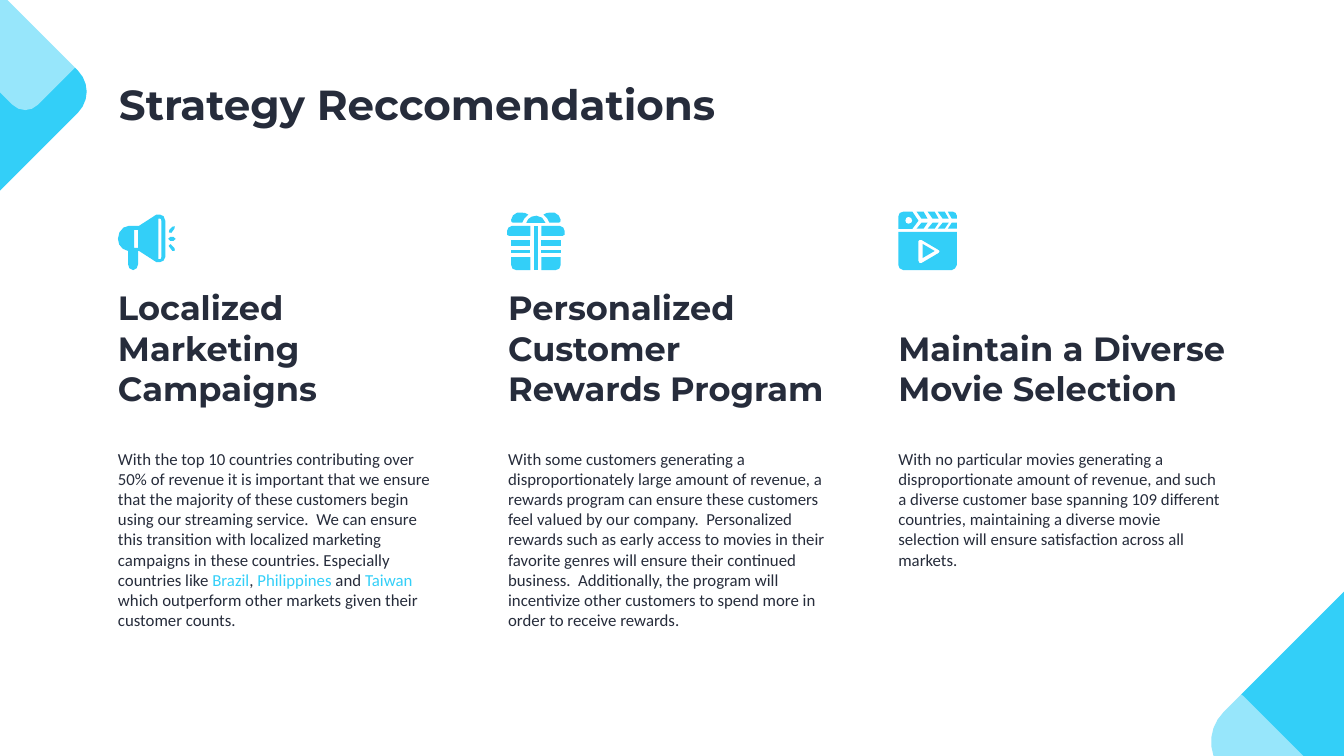
from lxml import etree
from pptx import Presentation
from pptx.dml.color import RGBColor
from pptx.enum.text import MSO_ANCHOR, MSO_AUTO_SIZE, PP_ALIGN
from pptx.oxml.ns import qn
from pptx.util import Pt

TOP, BOTTOM = MSO_ANCHOR.TOP, MSO_ANCHOR.BOTTOM
LEFT = PP_ALIGN.LEFT
NO_FIT = MSO_AUTO_SIZE.NONE
INK = RGBColor(0x26, 0x2C, 0x3B)
CYAN = RGBColor(0x33, 0xCF, 0xF8)
WHITE = RGBColor(0xFF, 0xFF, 0xFF)
PX = 9144

TITLE = "Strategy Reccomendations"

MEGAPHONE = [
    "M 169 235 C 166 235 166 239 169 239 L 172 239 C 175 239 175 235 172 235",
    "M 171 225 L 168 228 C 166 230 168 232 170 231 L 173 227 C 175 225 173 223 171 225",
    "M 168 243 C 167 243 167 245 168 245 L 171 249 C 173 250 175 248 173 246 "
    "L 170 243 C 170 242 169 242 168 243",
    "M 137 228 L 137 246 L 133 246 L 133 228 "
    "M 159 217 C 160 217 160 218 160 219 L 160 255 C 160 256 160 257 159 257 "
    "L 157 257 L 157 217 "
    "M 155 213 L 138 224 L 128 224 C 122 224 117 230 117 237 "
    "C 117 243 121 248 127 249 L 127 262 C 127 265 129 268 132 268 "
    "C 135 268 137 265 137 262 L 137 249 L 138 249 L 155 260 "
    "L 159 260 C 161 260 164 258 164 255 L 164 219 C 164 215 161 213 159 213",
]
GIFT_MIDDLE = [
    "M 530 224 L 530 268 L 534 268 L 534 224",
    "M 532 214 C 527 214 523 217 522 221 L 541 221 C 540 217 536 214 532 214",
]
GIFT_LEFT_HALF = [
    "M 507 248 L 507 251 L 526 251 L 526 248",
    "M 507 255 L 507 263 C 507 266 509 268 512 268 L 526 268 L 526 255",
    "M 508 224 C 505 224 503 227 503 229 L 503 233 L 505 234 L 526 234 L 526 224",
    "M 507 238 L 507 244 L 526 244 L 526 238",
    "M 517 211 L 513 211 C 510 212 507 215 507 218 "
    "C 506 220 508 221 509 221 L 518 221 "
    "C 519 218 521 215 524 213 C 522 211 519 211 517 211",
]
GIFT_AXIS = 531.5
CLAPPER = [
    "M 914 238 L 931 248 L 932 249 L 931 251 L 914 261 L 912 261 L 911 259 "
    "L 911 239 L 912 238 "
    "M 891 230 L 891 263 C 891 265 893 268 896 268 L 944 268 "
    "C 946 268 949 265 949 263 L 949 230",
    "M 915 242 L 915 256 L 927 249",
    "M 940 210 L 944 217 L 949 217 L 949 214 C 949 212 947 210 945 210",
    "M 944 221 L 940 227 L 949 227 L 949 221",
    "M 901 215 C 903 215 905 217 905 219 C 905 221 903 222 901 222 "
    "C 899 222 898 221 898 219 C 898 217 899 215 901 215 "
    "M 896 210 C 893 210 891 212 891 215 L 891 227 L 905 227 L 911 219 L 905 210",
]
for stripe in (909, 920, 930):
    CLAPPER += [
        f"M {stripe} 210 L {stripe + 5} 217 L {stripe + 11} 217 L {stripe + 7} 210",
        f"M {stripe + 5} 221 L {stripe} 227 L {stripe + 7} 227 L {stripe + 11} 221",
    ]

# heading, body segments (every second one highlighted), icon, mirrored icon half
STRATEGIES = [
    ("Localized Marketing Campaigns",
     ["With the top 10 countries contributing over 50% of revenue it is important that we "
      "ensure that the majority of these customers begin using our streaming service.  We can "
      "ensure this transition with localized marketing campaigns in these countries. "
      "Especially countries like ",
      "Brazil", ", ", "Philippines", " and ", "Taiwan",
      " which outperform other markets given their customer counts."],
     MEGAPHONE, []),
    ("Personalized\vCustomer Rewards Program",
     ["With some customers generating a disproportionately large amount of revenue, a rewards "
      "program can ensure these customers feel valued by our company.  Personalized rewards "
      "such as early access to movies in their favorite genres will ensure their continued "
      "business.  Additionally, the program will incentivize other customers to spend more in "
      "order to receive rewards."],
     GIFT_MIDDLE + GIFT_LEFT_HALF, GIFT_LEFT_HALF),
    ("Maintain a Diverse Movie Selection",
     ["With no particular movies generating a disproportionate amount of revenue, and such a "
      "diverse customer base spanning 109 different countries, maintaining a diverse movie "
      "selection will ensure satisfaction across all markets."],
     CLAPPER, []),
]
# centre x, centre y, reach, colour, opacity in percent
DIAMONDS = [
    (1384, 736, 187, CYAN, 100),
    (1216, 792, 111, WHITE, 49),
    (-44, 91, 133, CYAN, 100),
    (25, 31, 80, WHITE, 49),
]
COLUMN_LEFT, COLUMN_PITCH, COLUMN_WIDTH = 104, 387, 351


def trace(outline):
    contours = []
    for command in outline.replace("M", "|M").replace("L", "|L").replace("C", "|C").split("|")[1:]:
        kind, *numbers = command.split()
        values = [float(n) for n in numbers]
        points = list(zip(values[::2], values[1::2]))
        if kind == "M":
            contours.append(points)
        elif kind == "L":
            contours[-1] += points
        else:
            bend = [contours[-1][-1]] + points
            span = max(abs(bend[3][axis] - bend[0][axis]) for axis in (0, 1))
            steps = 2 + int(span // 10)
            for step in range(1, steps + 1):
                t = step / steps
                weights = ((1 - t) ** 3, 3 * t * (1 - t) ** 2, 3 * t * t * (1 - t), t ** 3)
                contours[-1].append(tuple(
                    sum(w * p[axis] for w, p in zip(weights, bend)) for axis in (0, 1)))
    return contours


def draw(shapes, contours, color, opacity=100):
    builder = None
    for contour in contours:
        (x, y), *rest = [(px * PX, py * PX) for px, py in contour]
        if builder is None:
            builder = shapes.build_freeform(x, y)
        else:
            builder.move_to(x, y)
        builder.add_line_segments(rest, close=True)
    figure = builder.convert_to_shape()
    figure.shadow.inherit = False
    figure.line.fill.background()
    figure.fill.solid()
    figure.fill.fore_color.rgb = color
    if opacity < 100:
        tint = figure._element.spPr.find(qn("a:solidFill"))[0]
        etree.SubElement(tint, qn("a:alpha"), val=str(opacity * 1000))


def diamond(cx, cy, reach):
    gap, inset = reach * 0.16, reach * 0.09
    outline = ""
    for dx, dy in ((-1, 0), (0, -1), (1, 0), (0, 1)):
        corner = [
            f"{cx + dx * out - dy * side:.2f} {cy + dy * out + dx * side:.2f}"
            for out, side in ((reach - inset, -gap), (reach, inset - gap),
                              (reach, gap - inset), (reach - inset, gap))]
        outline += f"{'L' if outline else 'M'} {corner[0]} C {' '.join(corner[1:])} "
    return trace(outline)


def write(box, left, top, width, height, segments, font, size, bold, anchor):
    box.left, box.top, box.width, box.height = (n * PX for n in (left, top, width, height))
    frame = box.text_frame
    frame.word_wrap = True
    frame.auto_size = NO_FIT
    frame.vertical_anchor = anchor
    frame.margin_left = frame.margin_right = frame.margin_top = frame.margin_bottom = 13 * PX
    frame.text = segments[0]
    paragraph = frame.paragraphs[0]
    paragraph.alignment = LEFT
    for segment in segments[1:]:
        paragraph.add_run().text = segment
    for i, run in enumerate(paragraph.runs):
        run.font.name, run.font.size, run.font.bold = font, Pt(size), bold
        run.font.color.rgb = CYAN if i % 2 and len(segments) > 1 else INK


deck = Presentation()
deck.slide_width, deck.slide_height = 1333 * PX, 750 * PX
slide = deck.slides.add_slide(deck.slide_layouts[5])
shapes = slide.shapes

for cx, cy, reach, color, opacity in DIAMONDS:
    draw(shapes, diamond(cx, cy, reach), color, opacity)

write(shapes.title, 105, 65, 1123, 84, [TITLE], "Montserrat", 30, True, TOP)

for column, (heading, body, icon, mirrored) in enumerate(STRATEGIES):
    left = COLUMN_LEFT + column * COLUMN_PITCH
    write(shapes.add_textbox(0, 0, 0, 0), left, 361, COLUMN_WIDTH, 57,
          [heading], "Montserrat", 24, True, BOTTOM)
    write(shapes.add_textbox(0, 0, 0, 0), left, 432, COLUMN_WIDTH, 101,
          body, "Calibri", 12, False, TOP)
    icon_group = shapes.add_group_shape().shapes
    for outline in icon:
        draw(icon_group, trace(outline), CYAN)
    for outline in mirrored:
        flipped = [[(2 * GIFT_AXIS - x, y) for x, y in contour] for contour in trace(outline)]
        draw(icon_group, flipped, CYAN)

deck.save("out.pptx")
